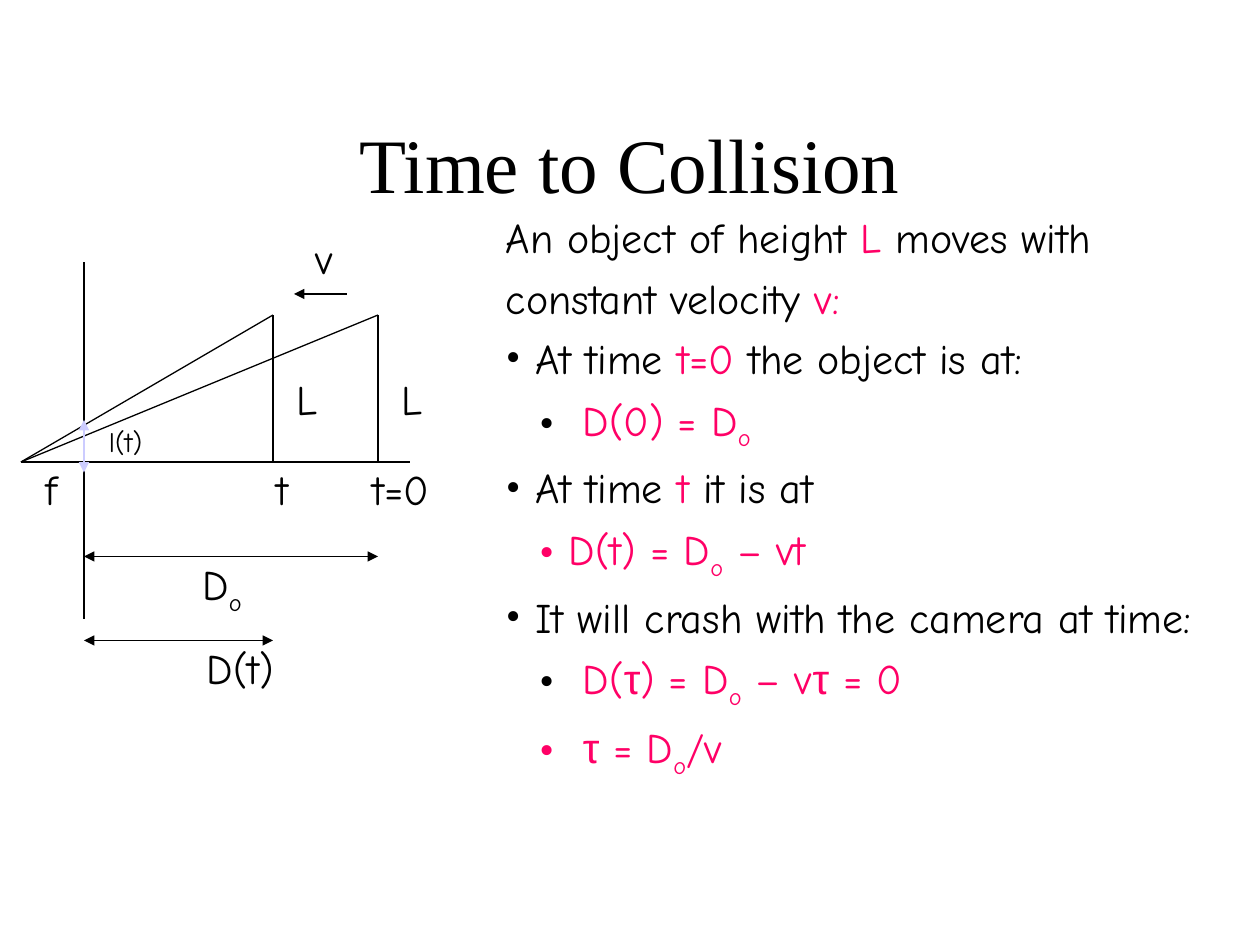
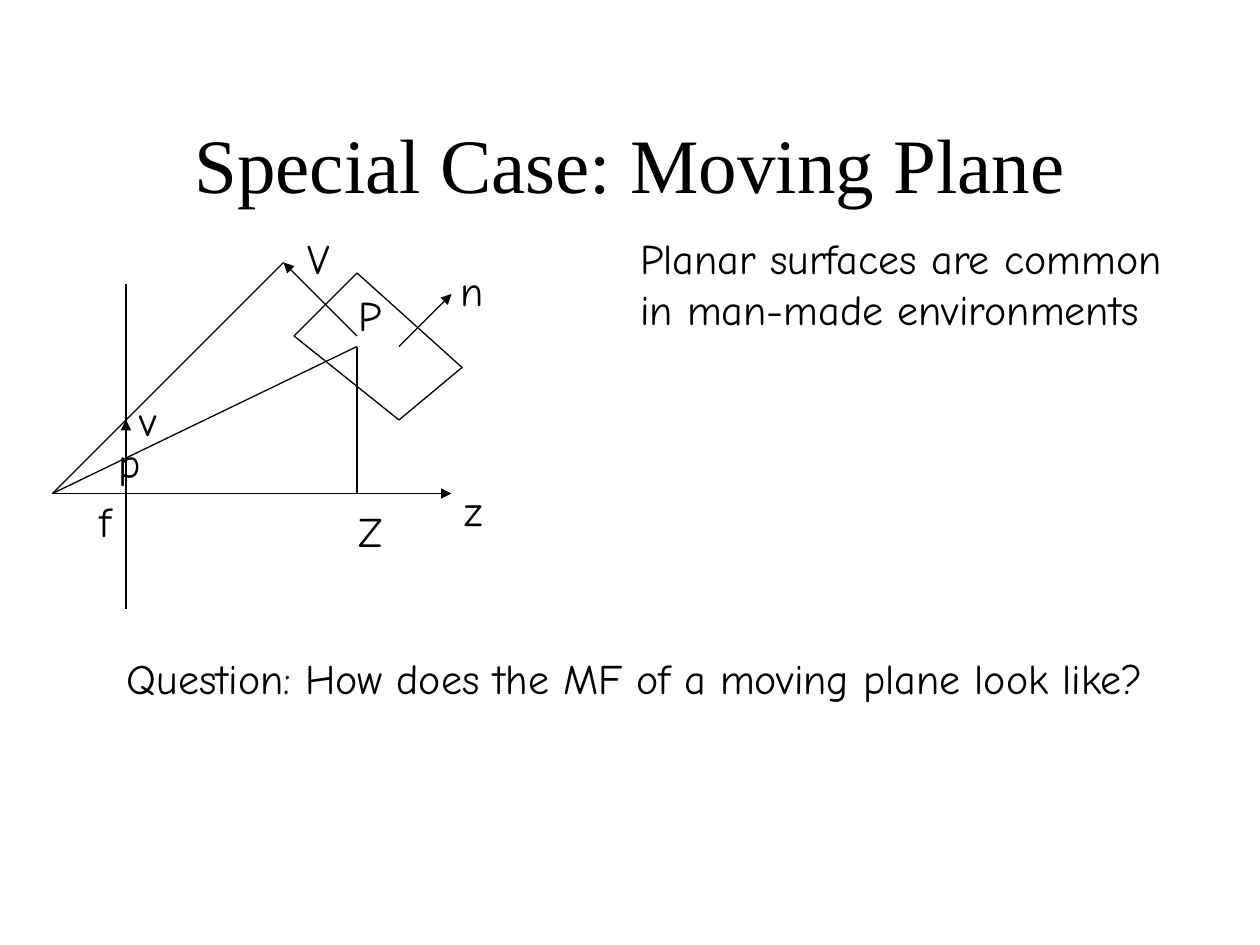
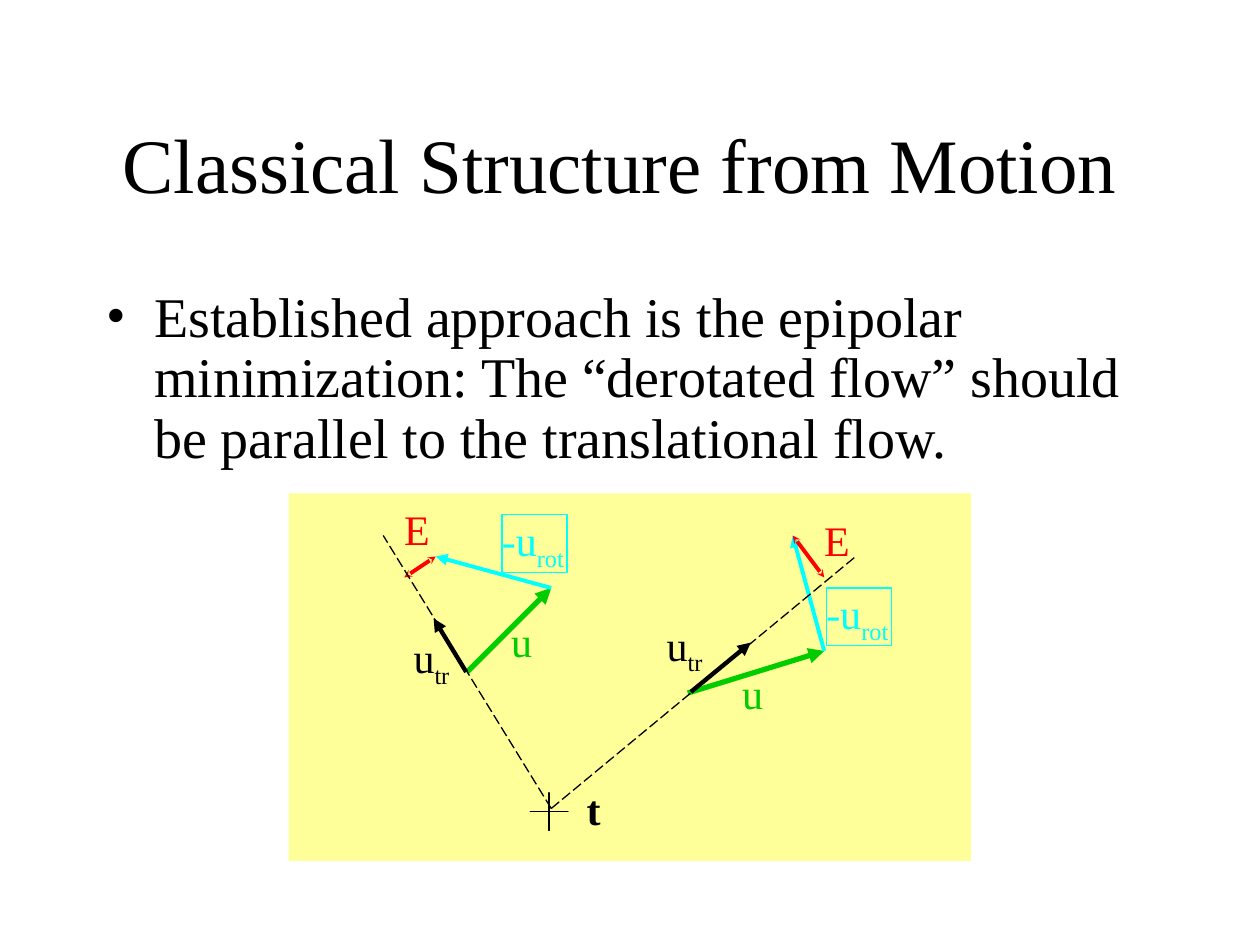
"""Build three slides on motion: time to collision, a moving plane, structure from motion."""
from dataclasses import dataclass
from typing import NamedTuple

from lxml import etree
from pptx import Presentation
from pptx import util as u
from pptx.dml.color import RGBColor
from pptx.enum import dml, shapes, text
from pptx.oxml.ns import qn

WIDE, HIGH = u.Inches(10), u.Inches(7.5)
COLS, ROWS = 120, 90
BLACK, PINK, PALE = "000000", "FF0066", "CCCCFF"
GREEN, CYAN, RED = "00CC00", "00FFFF", "FF0000"
YELLOW, TEAL = "FFFF99", "00CC99"
HAND, SERIF, SANS = "Comic Neue", "Times New Roman", "Arial"
ONE_ROW, SUB_ROW = 6, 6.7
PAD = (1.2, 0.6)
BARE = (0, 0)


class Bit(NamedTuple):
    tx: str
    hue: str = BLACK
    font: str = HAND
    low: bool = False
    bold: bool = False


class Point(NamedTuple):
    x: float
    y: float


@dataclass
class Para:
    bits: list[Bit]
    dot: str = ""
    left: float = 0
    hang: float = 0
    level: int = 0
    gap: float = 1
    before: float = 0


@dataclass
class Label:
    x: float
    y: float
    w: float
    paras: list[Para]
    h: float = ONE_ROW
    size: int = 24
    pad: tuple[float, float] = PAD
    wrap: bool = False
    edge: str = ""


@dataclass
class Line:
    start: Point
    end: Point
    hue: str = BLACK
    width: float = 0.75
    head: str = ""
    tail: str = ""
    dash: bool = False


def rgb(hue: str) -> RGBColor:
    """Turn a hex string into a colour."""
    return RGBColor.from_string(hue)


def col(n: float) -> u.Emu:
    """Give the length of n grid columns."""
    return u.Emu(round(WIDE * n / COLS))


def row(n: float) -> u.Emu:
    """Give the length of n grid rows."""
    return u.Emu(round(HIGH * n / ROWS))


def add_bit(para, bit: Bit, size: int) -> None:
    """Add one run to a paragraph."""
    run = para.add_run()
    run.text = bit.tx
    font = run.font
    font.name, font.size, font.color.rgb = bit.font, u.Pt(size), rgb(bit.hue)
    if bit.bold:
        font.bold = True
    if bit.low:
        run._r.get_or_add_rPr().set("baseline", "-25000")


def add_dot(para, rule: Para) -> None:
    """Give a paragraph its bullet and hanging indent."""
    props = para._p.get_or_add_pPr()
    props.set("marL", str(col(rule.left)))
    props.set("indent", str(-col(rule.hang)))
    tint = etree.SubElement(props, qn("a:buClr"))
    etree.SubElement(tint, qn("a:srgbClr")).set("val", rule.dot)
    etree.SubElement(props, qn("a:buFont")).set("typeface", SERIF)
    etree.SubElement(props, qn("a:buChar")).set("char", "•")


def add_label(slide, label: Label) -> None:
    """Draw a text box with its paragraphs."""
    box = slide.shapes.add_textbox(col(label.x), row(label.y), col(label.w), row(label.h))
    frame = box.text_frame
    frame.word_wrap = label.wrap
    frame.auto_size = text.MSO_AUTO_SIZE.SHAPE_TO_FIT_TEXT
    frame.margin_left = frame.margin_right = col(label.pad[0])
    frame.margin_top = frame.margin_bottom = row(label.pad[1])
    if label.edge:
        box.line.color.rgb = rgb(label.edge)
        box.line.width = u.Pt(0.75)
    for i, rule in enumerate(label.paras):
        para = frame.add_paragraph() if i else frame.paragraphs[0]
        para.level = rule.level
        para.line_spacing = rule.gap
        para.space_before = u.Pt(rule.before)
        if rule.dot:
            add_dot(para, rule)
        for bit in rule.bits:
            add_bit(para, bit, label.size)


def add_line(slide, line: Line) -> None:
    """Draw a straight line with optional arrowheads."""
    (x1, y1), (x2, y2) = line.start, line.end
    link = slide.shapes.add_connector(
        shapes.MSO_CONNECTOR.STRAIGHT, col(x1), row(y1), col(x2), row(y2))
    link.line.color.rgb = rgb(line.hue)
    link.line.width = u.Pt(line.width)
    if line.dash:
        link.line.dash_style = dml.MSO_LINE.LONG_DASH
    for tag, kind in (("a:headEnd", line.head), ("a:tailEnd", line.tail)):
        if kind:
            tip = etree.SubElement(link.line._get_or_add_ln(), qn(tag))
            tip.set("type", kind)
            if kind == "stealth":
                tip.set("w", "sm")
                tip.set("len", "sm")
    etree.SubElement(link._element.spPr, qn("a:effectLst"))


def add_shape(slide, points: list[Point], fill: str = "") -> None:
    """Draw a closed outline through the points."""
    spots = [(col(x), row(y)) for x, y in points]
    pen = slide.shapes.build_freeform(*spots[0])
    pen.add_line_segments(spots[1:], close=True)
    shape = pen.convert_to_shape()
    shape.shadow.inherit = False
    shape.line.color.rgb = rgb(BLACK)
    shape.line.width = u.Pt(0.75)
    if fill:
        shape.fill.solid()
        shape.fill.fore_color.rgb = rgb(fill)
    else:
        shape.fill.background()


def add_slide(deck, title: str):
    """Add a slide with the shared title style."""
    slide = deck.slides.add_slide(deck.slide_layouts[5])
    head = slide.shapes.title
    head.left, head.top, head.width, head.height = col(9), row(8), col(102), row(15)
    frame = head.text_frame
    frame.vertical_anchor = text.MSO_ANCHOR.MIDDLE
    para = frame.paragraphs[0]
    para.alignment = text.PP_ALIGN.CENTER
    add_bit(para, Bit(title, font=SERIF), 44)
    return slide


def note(x: float, y: float, w: float, tx: str, size: int = 24, h: float = ONE_ROW) -> Label:
    """Make a one-run label in the hand font."""
    return Label(x, y, w, [Para([Bit(tx)])], h, size)


def mark(x: float, y: float, w: float, tx: str, sub: str = "", hue: str = BLACK,
         font: str = SERIF, bold: bool = False, **more) -> Label:
    """Make a symbol label with an optional subscript."""
    bits = [Bit(tx, hue, font, bold=bold)]
    if sub:
        bits.append(Bit(sub, hue, font, low=True))
    more.setdefault("h", SUB_ROW if sub else ONE_ROW)
    return Label(x, y, w, [Para(bits)], **more)


def both(y: float, end: float) -> Line:
    """Make a level size arrow from the image plane."""
    return Line(Point(8, y), Point(end, y), head="triangle", tail="triangle")


def fact(*bits: Bit) -> Para:
    """Make a first-level bullet."""
    return Para(list(bits), BLACK, 2.8, 2.8, gap=1.2)


def sum_row(dot: str, *bits: Bit) -> Para:
    """Make a second-level bullet for a formula."""
    return Para(list(bits), dot, 6, 2.8, level=1, gap=1.2)


def draw_crash(deck) -> None:
    """Draw the time to collision slide."""
    slide = add_slide(deck, "Time to Collision")
    eye, near, far = Point(2, 44), Point(26, 30), Point(36, 30)
    lines = [Line(eye, Point(39, 44)), Line(Point(8, 25), Point(8, 59))]
    for top in (near, far):
        lines += [Line(eye, top), Line(top, Point(top.x, eye.y))]
    lines += [
        Line(Point(33, 28), Point(28, 28), tail="triangle"),
        both(53, far.x), both(61, near.x),
        Line(Point(8, 45), Point(8, 40), PALE, head="triangle", tail="triangle"),
    ]
    for line in lines:
        add_line(slide, line)

    low, tau = Bit("o", PINK, low=True), Bit("τ", PINK, SANS)
    space = Bit(" ")
    paras = [
        Para([Bit("An object of height"), Bit(" L", PINK),
              Bit(" moves with constant velocity "), Bit("v:", PINK)], gap=1.2),
        fact(Bit("At time "), Bit("t=0", PINK), Bit(" the object is at:")),
        sum_row(BLACK, space, Bit("D(0) = D", PINK), low),
        fact(Bit("At time "), Bit("t", PINK), Bit(" it is at")),
        sum_row(PINK, Bit("D(t) = D", PINK), low, Bit(" – vt", PINK)),
        fact(Bit("It will crash with the camera at time:")),
        sum_row(BLACK, space, Bit("D(", PINK), tau, Bit(") = D", PINK), low,
                Bit(" – v", PINK), tau, Bit(" = 0", PINK)),
        sum_row(PINK, space, tau, Bit(" = D", PINK), low, Bit("/v", PINK)),
    ]
    labels = [
        note(3.2, 43.6, 3.8, "f"), note(27.1, 35, 4.5, "L"), note(37.1, 35, 4.5, "L"),
        note(28.9, 21.6, 4.4, "v"), note(9.2, 39.8, 6.2, "l(t)", 16, 4.4),
        note(34.3, 43.6, 8.2, "t=0"), note(25.2, 43.6, 3.8, "t"),
        note(18.5, 60.6, 9.2, "D(t)"), mark(18.1, 52.6, 6.8, "D", "o", font=HAND),
        Label(47, 18.6, 70, paras, 56.3, wrap=True),
    ]
    for label in labels:
        add_label(slide, label)


def draw_plane(deck) -> None:
    """Draw the moving plane slide."""
    slide = add_slide(deck, "Special Case: Moving Plane")
    eye, spot, tip = Point(5, 47), Point(34, 33), Point(27, 25)
    lines = [
        Line(Point(12, 27), Point(12, 58)),
        Line(eye, Point(43, 47), tail="triangle"),
        Line(eye, spot), Line(eye, tip), Line(spot, Point(spot.x, eye.y)),
        Line(Point(34, 32), tip, tail="triangle"),
        Line(Point(12, 43), Point(12, 40), tail="triangle"),
        Line(Point(38, 33), Point(43, 28), tail="triangle"),
    ]
    for line in lines:
        add_line(slide, line)
    add_shape(slide, [Point(34, 26), Point(28, 32), Point(38, 40), Point(44, 35)])
    labels = [
        note(8.3, 46.6, 3.5, "f"), note(33, 27, 4.6, "P"), note(28.1, 21.6, 4.6, "V"),
        note(10.1, 41, 4.4, "p"), note(12.1, 37, 4.1, "v"), note(33, 47.6, 4.7, "Z"),
        note(43.1, 45.6, 4.1, "z"), note(42.7, 24.6, 4.6, "n"),
        Label(59.8, 21.6, 55.2,
              [Para([Bit("Planar surfaces are common in man-made environments")])],
              10.8, wrap=True),
        note(10.9, 61.6, 100, "Question: How does the MF of a moving plane look like?"),
    ]
    for label in labels:
        add_label(slide, label)


def draw_flow(deck) -> None:
    """Draw the structure from motion slide."""
    slide = add_slide(deck, "Classical Structure from Motion ")
    panel = slide.shapes.add_shape(
        shapes.MSO_SHAPE.RECTANGLE, col(27.5), row(47), col(65), row(35))
    panel.shadow.inherit = False
    panel.fill.solid()
    panel.fill.fore_color.rgb = rgb(YELLOW)
    panel.line.fill.background()
    claim = Bit("Established approach is the epipolar minimization: The “derotated flow” "
                "should be parallel to the translational flow.", font=SERIF)
    add_label(slide, Label(9, 26.9, 102, [Para([claim], BLACK, 4.5, 4.5, gap=0.9, before=8)],
                           19, 32, wrap=True))

    hub = Point(52.5, 77)
    left, right = Point(52.5, 56), Point(78.5, 62)
    left_tip, right_tip = Point(41.5, 53), Point(75.5, 51)
    flows = [
        Line(Point(44.5, 64), left, GREEN, 3, tail="triangle"),
        Line(Point(65.5, 66), right, GREEN, 3, tail="triangle"),
        Line(left, left_tip, CYAN, 2.25, tail="triangle"),
        Line(right, right_tip, CYAN, 2.25, tail="triangle"),
        Line(right_tip, Point(78.5, 55), RED, 2.25, "stealth", "stealth"),
        Line(Point(38.5, 55), left_tip, RED, 2.25, "stealth", "stealth"),
        Line(hub, Point(36.5, 51), dash=True),
        Line(hub, Point(81.5, 53), dash=True),
        Line(Point(44.4, 64), Point(41.3, 58.9), width=2.5, tail="triangle"),
        Line(Point(65.8, 65.9), Point(71.5, 61.2), width=2.5, tail="triangle"),
    ]
    for line in flows:
        add_line(slide, line)

    mid, arm = Point(52.3, 77.3), 1.8
    cross = []
    for dx, dy in ((-arm, 0), (0, -arm), (arm, 0), (0, arm)):
        cross += [Point(mid.x + dx, mid.y + dy), mid]
    add_shape(slide, cross, TEAL)

    labels = [mark(x, y, 4.3, "u", hue=GREEN) for x, y in ((47.5, 58), (69.5, 63))]
    labels += [mark(x, y, 6.2, "-u", "rot", CYAN, h=5.5, pad=BARE, edge=CYAN)
               for x, y in ((47.8, 49), (78.7, 56))]
    labels += [mark(x, y, 2.6, "E", hue=RED, h=4.8, pad=BARE)
               for x, y in ((78.5, 49), (38.5, 48))]
    labels += [mark(x, y, 6.1, "u", "tr") for x, y in ((38.2, 59.6), (62.3, 58.4))]
    labels.append(mark(54.7, 74, 3.9, "t", bold=True))
    for label in labels:
        add_label(slide, label)


def main() -> None:
    """Build the deck and save it."""
    deck = Presentation()
    deck.slide_width, deck.slide_height = WIDE, HIGH
    for draw in (draw_crash, draw_plane, draw_flow):
        draw(deck)
    deck.save("out.pptx")


if __name__ == "__main__":
    main()
